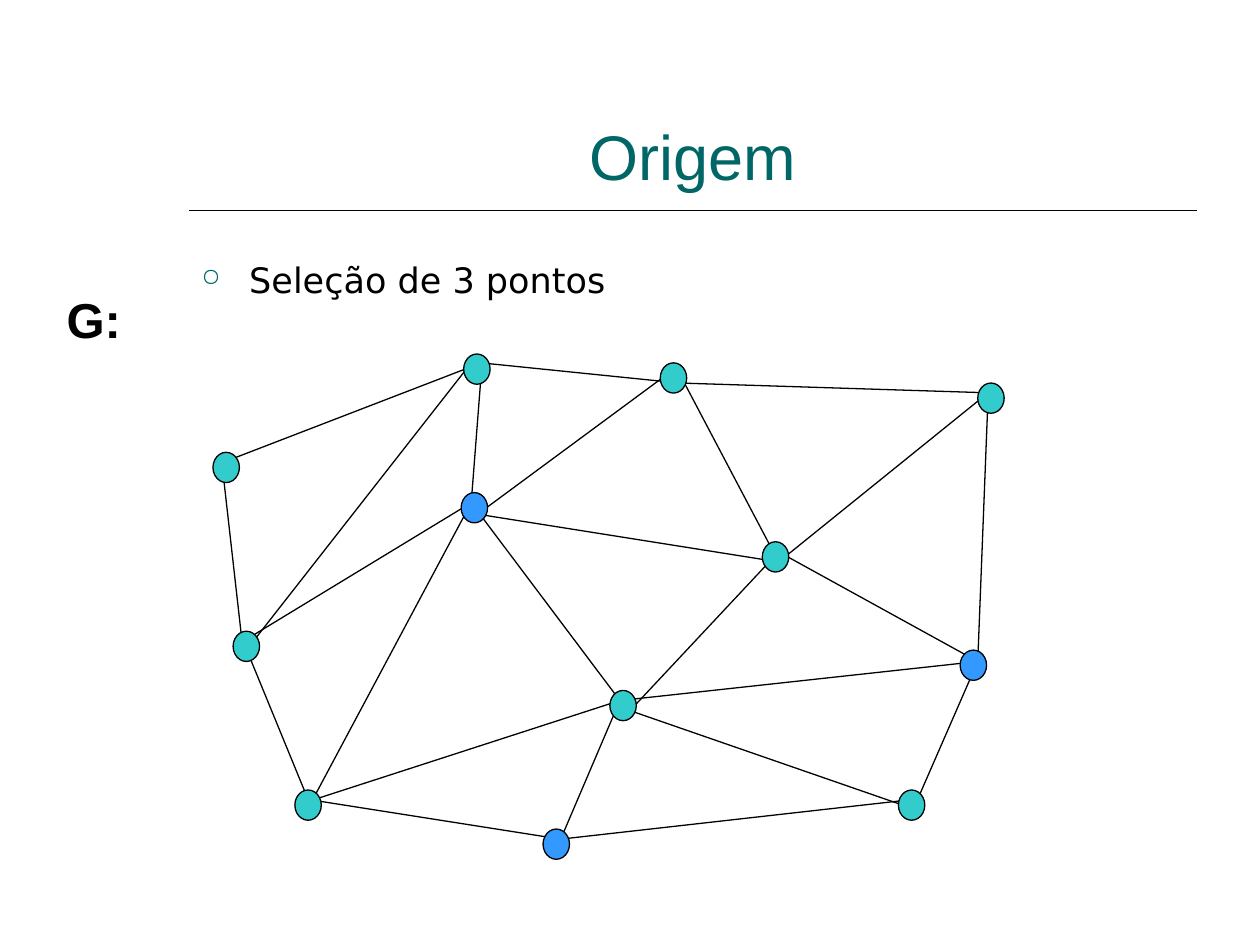
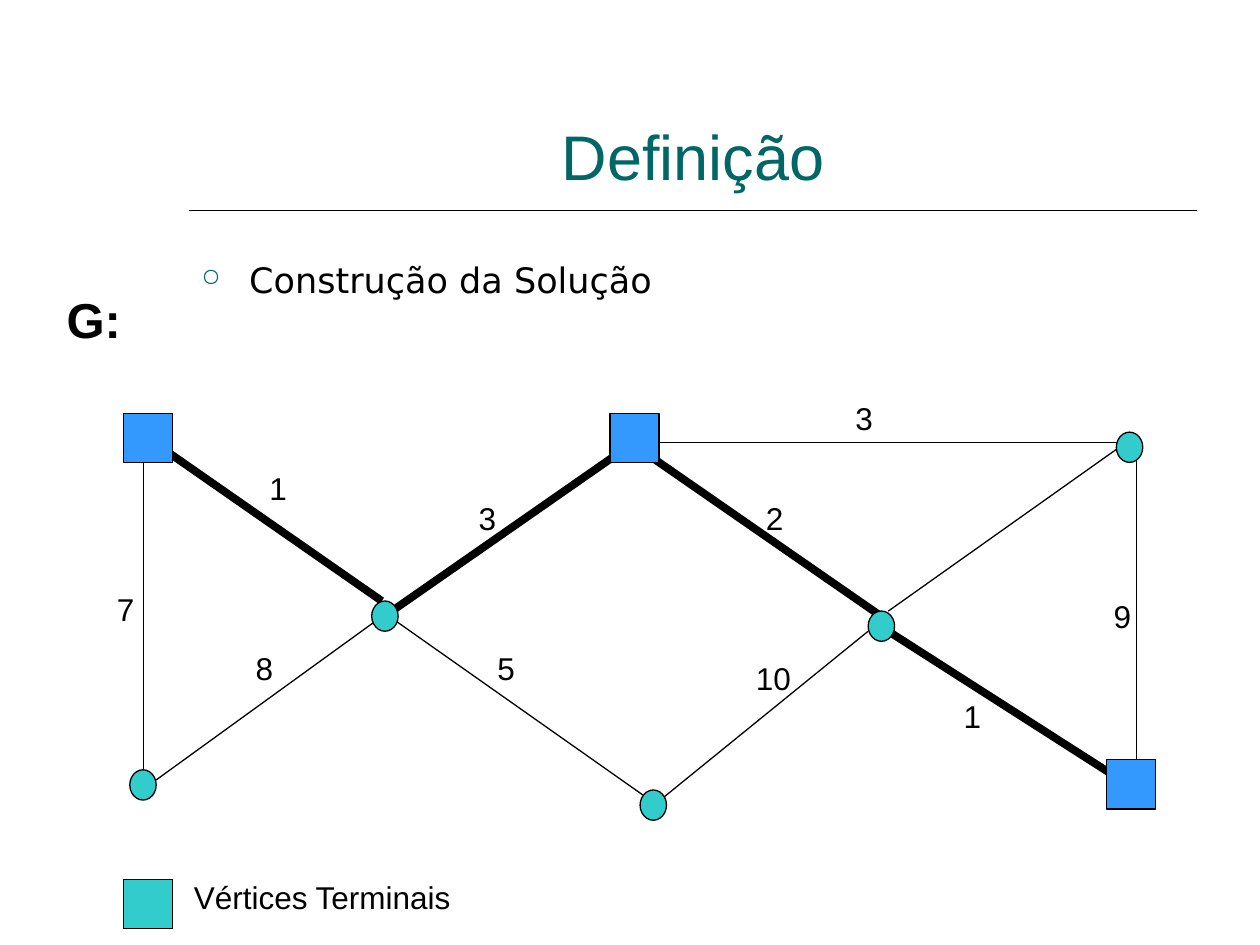
import pptx
import pptx.dml.color
import pptx.enum.shapes
import pptx.enum.text
import pptx.oxml
import pptx.oxml.ns
import pptx.util

Inches = pptx.util.Inches
Pt = pptx.util.Pt
RGBColor = pptx.dml.color.RGBColor
Shape = pptx.enum.shapes.MSO_SHAPE
Align = pptx.enum.text.PP_ALIGN
Anchor = pptx.enum.text.MSO_ANCHOR

BLACK = RGBColor(0x00, 0x00, 0x00)
DARK_TEAL = RGBColor(0x00, 0x66, 0x66)
TURQUOISE = RGBColor(0x33, 0xCC, 0xCC)
BLUE = RGBColor(0x33, 0x99, 0xFF)

THIN, THICK = 0.75, 4.5
TITLE_FORMAT = {"name": "Arial", "size": Pt(36)}
TOPIC_FORMAT = {"name": "DejaVu Sans", "size": Pt(20)}
GRAPH_NAME_FORMAT = {"name": "Arial", "size": Pt(28), "bold": True}
LABEL_FORMAT = {"name": "Arial", "size": Pt(18)}

NODE_SIZE = (0.21, 0.24)
TERMINAL_SIZE = (0.39, 0.39)
WEIGHT_SIZE = (0.36, 0.4)

ORIGIN_EDGES = [
    (2.48, 6.43, 1.93, 5.09), (1.77, 3.75, 1.93, 5.17), (2.48, 6.35, 4.45, 6.66),
    (2.48, 6.35, 4.92, 5.56), (4.45, 6.66, 4.92, 5.56), (2.48, 6.35, 3.74, 3.99),
    (1.93, 5.09, 3.74, 3.99), (2.01, 5.09, 3.74, 2.88), (1.77, 3.67, 3.82, 2.88),
    (3.82, 2.88, 5.39, 3.04), (3.74, 3.99, 3.82, 2.96), (3.82, 4.06, 5.31, 2.96),
    (3.66, 4.06, 6.18, 4.46), (5, 5.64, 6.18, 4.38), (3.74, 3.99, 4.92, 5.56),
    (4.45, 6.66, 7.2, 6.35), (5, 5.64, 7.28, 6.43), (7.28, 6.35, 7.76, 5.25),
    (6.18, 4.38, 7.76, 5.25), (7.76, 5.25, 7.84, 3.2), (6.18, 4.46, 7.84, 3.12),
    (6.18, 4.46, 5.39, 2.96), (5.39, 3.04, 7.91, 3.12), (4.92, 5.56, 7.76, 5.25),
]
ORIGIN_NODES = [
    (1.69, 3.59), (1.85, 5.01), (2.34, 6.27), (7.13, 6.27), (4.84, 5.48),
    (6.05, 4.3), (7.76, 3.04), (5.24, 2.88), (3.68, 2.81),
]
SELECTED_NODES = [(4.31, 6.58), (3.66, 3.91), (7.62, 5.16)]

SOLUTION_EDGES = [
    (5, 3.51, 7.05, 4.93), (7.05, 5.01, 9.02, 6.27),
    (3.11, 4.85, 4.92, 3.59), (1.22, 3.51, 3.03, 4.77),
]
OTHER_EDGES = [
    (9.02, 3.59, 9.02, 6.27), (1.24, 6.19, 2.98, 4.93), (1.14, 3.59, 1.14, 6.11),
    (5.24, 6.35, 6.89, 5.01), (5.16, 3.51, 8.94, 3.51), (3.03, 4.85, 5.16, 6.35),
    (7.05, 4.85, 8.94, 3.51),
]
STEINER_NODES = [(1.03, 6.11), (2.95, 4.77), (6.89, 4.85), (8.86, 3.43), (5.08, 6.27)]
TERMINALS = [(0.98, 3.28), (4.84, 3.28), (8.78, 6.03)]
WEIGHTS = [
    ("1", 2.04, 3.67), ("2", 5.98, 3.91), ("8", 1.93, 5.1), ("7", 0.83, 4.63),
    ("3", 3.7, 3.91), ("5", 3.85, 5.1), ("3", 6.69, 3.12), ("9", 8.74, 4.69),
    ("1", 7.55, 5.48),
]


def add_text(slide, text, box, font_format, color=BLACK):
    """Add a one-paragraph text box and return it."""
    shape = slide.shapes.add_textbox(*map(Inches, box))
    shape.text_frame.word_wrap = True
    paragraph = shape.text_frame.paragraphs[0]
    run = paragraph.add_run()
    run.text = text
    for attribute, value in font_format.items():
        setattr(run.font, attribute, value)
    run.font.color.rgb = color
    return shape


def add_edge(slide, ends, width=THIN):
    """Draw a straight black line between two points."""
    connector = slide.shapes.add_connector(
        pptx.enum.shapes.MSO_CONNECTOR.STRAIGHT, *map(Inches, ends))
    connector.line.color.rgb = BLACK
    connector.line.width = Pt(width)
    properties = connector._element.spPr
    properties.append(pptx.oxml.parse_xml(
        f'<a:effectLst {pptx.oxml.ns.nsdecls("a")}/>'))


def add_vertex(slide, kind, position, size, color):
    """Draw a filled vertex with a thin black outline."""
    shape = slide.shapes.add_shape(kind, *map(Inches, position + size))
    shape.shadow.inherit = False
    shape.fill.solid()
    shape.fill.fore_color.rgb = color
    shape.line.color.rgb = BLACK
    shape.line.width = Pt(THIN)


def add_nodes(slide, positions, color):
    """Draw round vertices of one colour."""
    for position in positions:
        add_vertex(slide, Shape.OVAL, position, NODE_SIZE, color)


def add_bullet(paragraph):
    """Give a paragraph a small hanging ring bullet."""
    properties = paragraph._p.get_or_add_pPr()
    properties.set("marL", str(Inches(0.38)))
    properties.set("indent", str(-Inches(0.38)))
    namespace = pptx.oxml.ns.nsdecls("a")
    for element in (f'<a:buClr {namespace}><a:srgbClr val="{DARK_TEAL}"/></a:buClr>',
                    f'<a:buSzPct {namespace} val="70000"/>',
                    f'<a:buChar {namespace} char="○"/>'):
        properties.append(pptx.oxml.parse_xml(element))


def add_graph_slide(presentation, title, topic):
    """Add a slide with its title, rule, topic bullet and graph name."""
    slide = presentation.slides.add_slide(presentation.slide_layouts[6])
    add_edge(slide, (1.5, 1.67, 9.5, 1.67), 1)
    heading = add_text(slide, title, (1.5, 0.33, 8, 1.25), TITLE_FORMAT, DARK_TEAL)
    heading.text_frame.vertical_anchor = Anchor.BOTTOM
    heading.text_frame.paragraphs[0].alignment = Align.CENTER
    body = add_text(slide, topic, (1.5, 2, 8, 0.5), TOPIC_FORMAT)
    add_bullet(body.text_frame.paragraphs[0])
    add_text(slide, "G:", (0.43, 2.25, 0.79, 0.57), GRAPH_NAME_FORMAT)
    return slide


def build_origin(presentation):
    """Build the slide that selects three points of the graph."""
    slide = add_graph_slide(presentation, "Origem", "Seleção de 3 pontos")
    for ends in ORIGIN_EDGES:
        add_edge(slide, ends)
    add_nodes(slide, ORIGIN_NODES, TURQUOISE)
    add_nodes(slide, SELECTED_NODES, BLUE)


def build_definition(presentation):
    """Build the slide that shows the solution on a weighted graph."""
    slide = add_graph_slide(presentation, "Definição", "Construção da Solução")
    for edges, width in ((OTHER_EDGES, THIN), (SOLUTION_EDGES, THICK)):
        for ends in edges:
            add_edge(slide, ends, width)
    add_nodes(slide, STEINER_NODES, TURQUOISE)
    for weight, left, top in WEIGHTS:
        add_text(slide, weight, (left, top) + WEIGHT_SIZE, LABEL_FORMAT)
    add_text(slide, "10", (5.9, 5.18, 0.52, 0.4), LABEL_FORMAT)
    for position in TERMINALS:
        add_vertex(slide, Shape.RECTANGLE, position, TERMINAL_SIZE, BLUE)
    add_vertex(slide, Shape.RECTANGLE, (0.98, 6.98), TERMINAL_SIZE, TURQUOISE)
    add_text(slide, "Vértices Terminais", (1.44, 6.92, 2.27, 0.4), LABEL_FORMAT)


def main():
    """Build and save the presentation."""
    presentation = pptx.Presentation()
    presentation.slide_width = Inches(10)
    presentation.slide_height = Inches(7.5)
    build_origin(presentation)
    build_definition(presentation)
    presentation.save("out.pptx")


if __name__ == "__main__":
    main()
